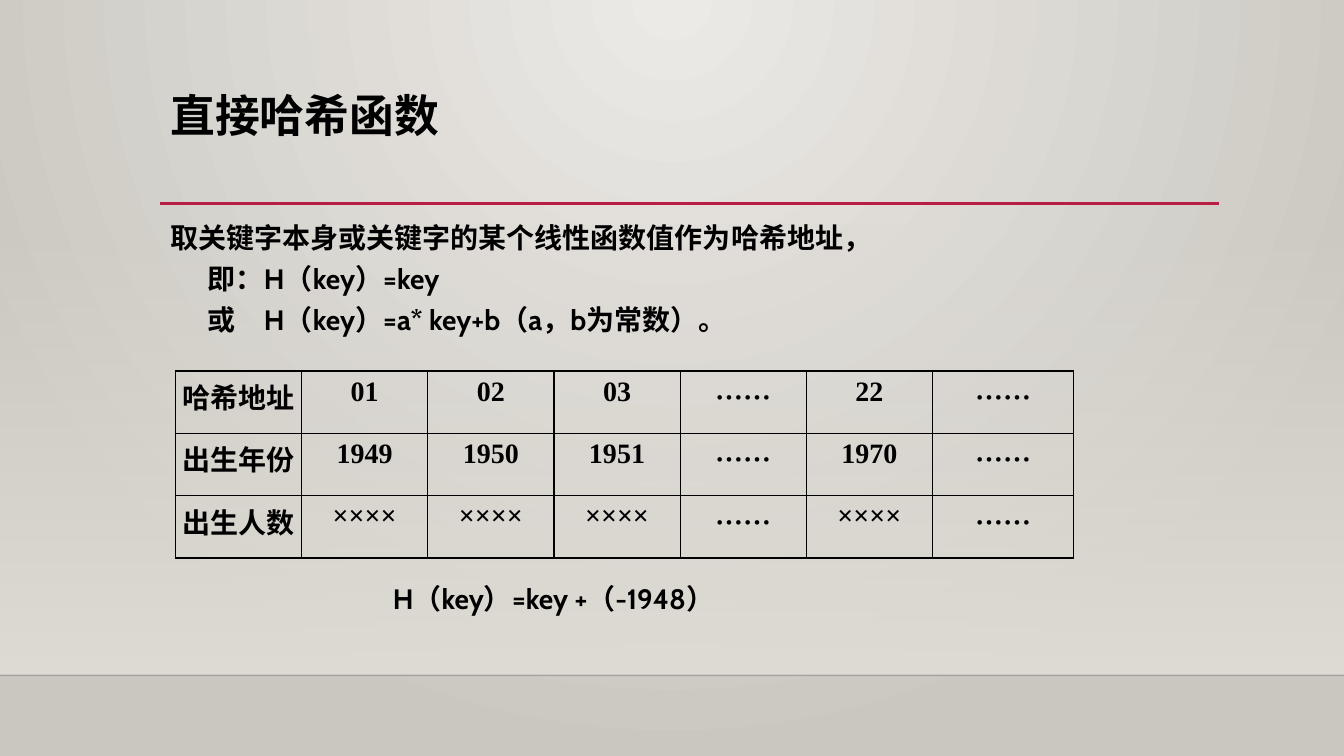
from pptx import Presentation, oxml
from pptx import util as u
from pptx.dml import color
from pptx.enum import shapes, text
from pptx.oxml import ns

TITLE = "直接哈希函数"
RULES = [
    ("取关键字本身或关键字的某个线性函数值作为哈希地址，", 0),
    ("即：H（key）=key", 0.95),
    ("或　H（key）=a* key+b（a，b为常数）。", 0.95),
]
ROWS = [
    ["哈希地址", "01", "02", "03", "……", "22", "……"],
    ["出生年份", "1949", "1950", "1951", "……", "1970", "……"],
    ["出生人数", "××××", "××××", "××××", "……", "××××", "……"],
]
EXAMPLE = "H（key）=key +（-1948）"
LINES = [
    (0, 33.87, 17.02, "000001", 1, 20),
    (4.04, 30.73, 5.13, "B71E42", 2.5, 100),
]
CJK = "Noto Sans CJK SC"
WIDTH, HEIGHT = 33.87, 19.05
COL, LAST_COL, ROW = 3.18, 3.56, 1.57


def rgb(value):
    return color.RGBColor.from_string(value)


def xml(body):
    return oxml.parse_xml(body.replace(">", f" {ns.nsdecls('a')}>", 1))


def assign(obj, values):
    for name, value in values.items():
        setattr(obj, name, value)


def write(p, content, size=20, font="Cabin", **fmt):
    assign(p, fmt)
    r = p.add_run()
    r.text = content
    assign(r.font, {"size": u.Pt(size), "bold": True, "name": font})
    r.font.color.rgb = rgb("000000")
    r.font._element.append(xml(f'<a:ea typeface="{CJK}"></a:ea>'))


def gradient(fill, root, stops, direction):
    fill.gradient()
    old = root.xpath(".//a:gradFill")[0]
    marks = "".join(
        f'<a:gs pos="{pos * 1000}"><a:srgbClr val="{c}">'
        f'<a:alpha val="{alpha * 1000}"/></a:srgbClr></a:gs>'
        for pos, c, alpha in stops)
    new = xml(f"<a:gradFill><a:gsLst>{marks}</a:gsLst>{direction}</a:gradFill>")
    old.getparent().replace(old, new)


def text_box(s, left, top, width, height, anchor):
    tf = s.shapes.add_textbox(*map(u.Cm, (left, top, width, height))).text_frame
    assign(tf, {"word_wrap": True, "vertical_anchor": anchor})
    return tf


def add_line(s, x1, x2, y, c, weight, alpha):
    line = s.shapes.add_connector(
        shapes.MSO_CONNECTOR.STRAIGHT, u.Cm(x1), u.Cm(y), u.Cm(x2), u.Cm(y))
    line.line.color.rgb = rgb(c)
    line.line.width = u.Pt(weight)
    line._element.xpath(".//a:ln//a:srgbClr")[0].append(
        xml(f'<a:alpha val="{alpha * 1000}"></a:alpha>'))
    line._element.spPr.append(xml("<a:effectLst></a:effectLst>"))


def fill_cell(cell, content):
    margin = {"margin_left": u.Cm(0.05), "margin_right": u.Cm(0.05)}
    assign(cell, {**margin, "vertical_anchor": text.MSO_ANCHOR.TOP})
    font = CJK if content == "……" else "Times New Roman"
    write(cell.text_frame.paragraphs[0], content, font=font,
          alignment=text.PP_ALIGN.CENTER)
    for side in "LRTB":
        cell._tc.get_or_add_tcPr().append(xml(
            f'<a:ln{side} w="12700"><a:solidFill><a:srgbClr val="000000"/>'
            f"</a:solidFill></a:ln{side}>"))
    cell.fill.background()


def add_table(s):
    cols = [COL] * (len(ROWS[0]) - 1) + [LAST_COL]
    table = s.shapes.add_table(
        len(ROWS), len(cols), u.Cm(4.42), u.Cm(9.35),
        u.Cm(sum(cols)), u.Cm(ROW * len(ROWS))).table
    assign(table, {"first_row": False, "horz_banding": False})
    for column, width in zip(table.columns, cols):
        column.width = u.Cm(width)
    for i, row in enumerate(ROWS):
        table.rows[i].height = u.Cm(ROW)
        for j, content in enumerate(row):
            fill_cell(table.cell(i, j), content)


def main():
    prs = Presentation()
    assign(prs, {"slide_width": u.Cm(WIDTH), "slide_height": u.Cm(HEIGHT)})
    s = prs.slides.add_slide(prs.slide_layouts[5])
    gradient(s.background.fill, s._element.cSld,
             [(0, "ECEAE7", 100), (100, "CAC7C1", 100)],
             '<a:path path="circle"><a:fillToRect l="43000" t="0" r="43000" '
             'b="100000"/></a:path>')

    title = s.shapes.title
    assign(title, {"left": u.Cm(4.04), "top": u.Cm(2.24),
                   "width": u.Cm(26.67), "height": u.Cm(2.92)})
    assign(title.text_frame, {"vertical_anchor": text.MSO_ANCHOR.TOP,
                              "auto_size": text.MSO_AUTO_SIZE.NONE})
    write(title.text_frame.paragraphs[0], TITLE, size=32,
          alignment=text.PP_ALIGN.LEFT, line_spacing=0.9)

    wall = s.shapes.add_shape(shapes.MSO_SHAPE.RECTANGLE, 0, u.Cm(5.61),
                              u.Cm(WIDTH), u.Cm(11.4))
    wall.shadow.inherit = False
    wall.line.fill.background()
    gradient(wall.fill, wall._element.spPr,
             [(0, "DFDBD5", 0), (100, "DFDBD5", 100)],
             '<a:lin ang="5400000" scaled="0"/>')
    for line in LINES:
        add_line(s, *line)

    tf = text_box(s, 4.04, 5.59, 26.67, 9.58, text.MSO_ANCHOR.TOP)
    for i, (content, indent) in enumerate(RULES):
        p = tf.add_paragraph() if i else tf.paragraphs[0]
        p._p.get_or_add_pPr().set("marL", str(u.Cm(indent)))
        write(p, content, line_spacing=0.8, space_before=u.Pt(10))

    add_table(s)
    tf = text_box(s, 9.65, 14.53, 9.22, 1.09, text.MSO_ANCHOR.MIDDLE)
    write(tf.paragraphs[0], EXAMPLE)
    prs.save("out.pptx")


if __name__ == "__main__":
    main()
